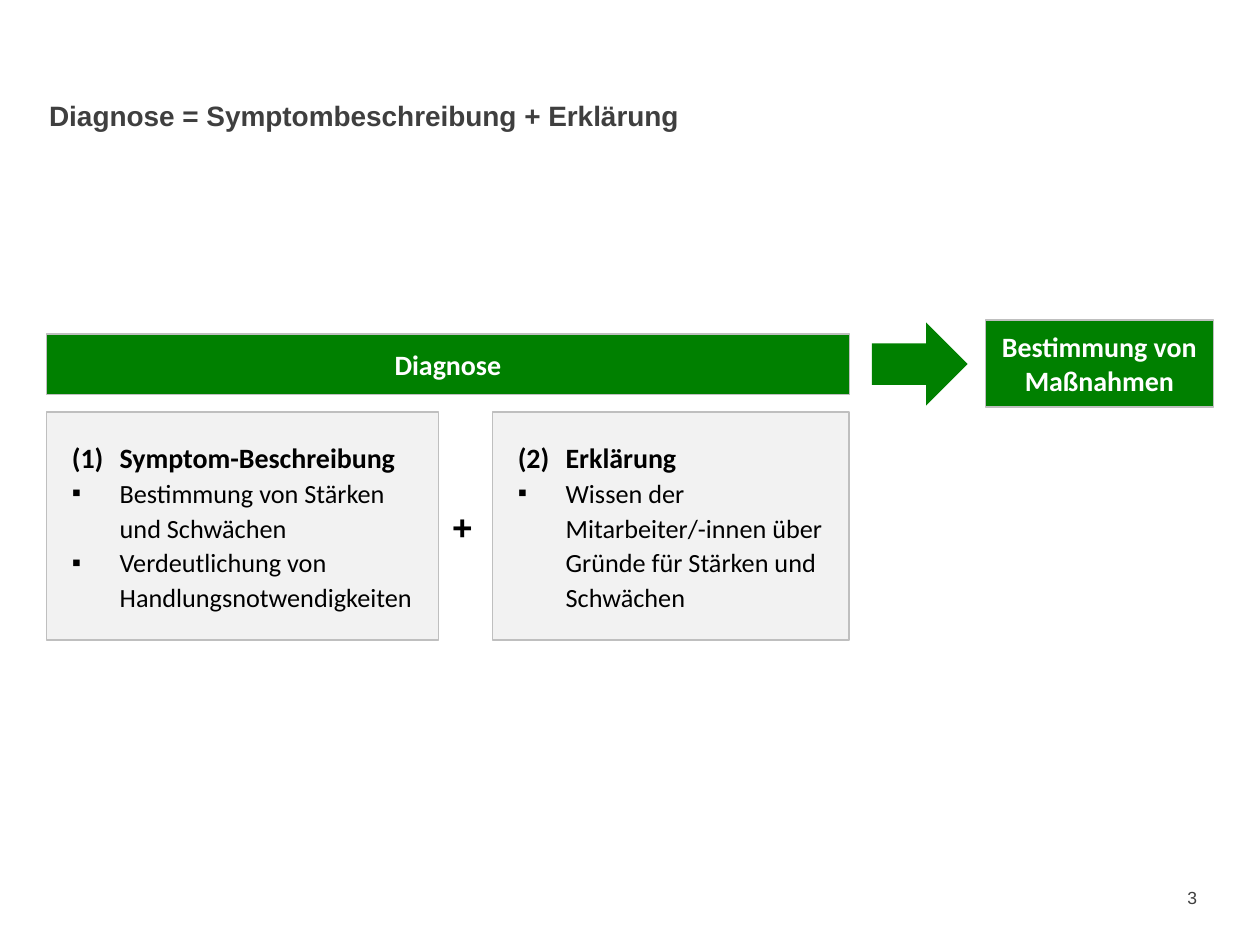
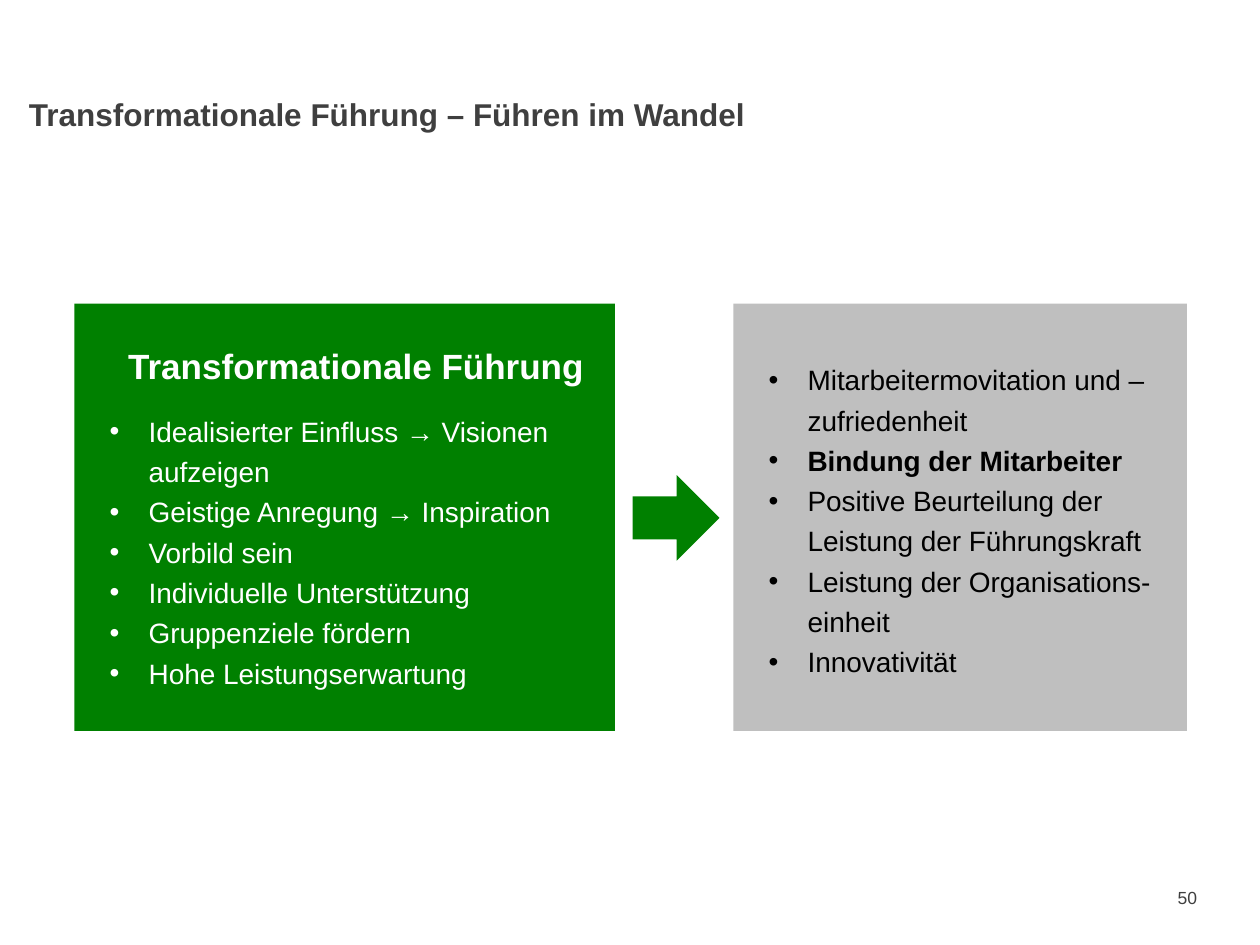
from lxml import etree
from pptx import Presentation
from pptx.dml.color import RGBColor
from pptx.enum import shapes, text
from pptx.oxml import ns
from pptx.util import Inches, Pt

GREEN = RGBColor(0x00, 0x80, 0x00)
WHITE = RGBColor(0xFF, 0xFF, 0xFF)
BLACK = RGBColor(0x00, 0x00, 0x00)
DARK_GREY = RGBColor(0x3F, 0x3F, 0x3F)
MID_GREY = RGBColor(0xBF, 0xBF, 0xBF)
LIGHT_GREY = RGBColor(0xF2, 0xF2, 0xF2)

RECT = shapes.MSO_SHAPE.RECTANGLE
ARROW = shapes.MSO_SHAPE.RIGHT_ARROW
TOP, MIDDLE = text.MSO_ANCHOR.TOP, text.MSO_ANCHOR.MIDDLE
LEFT, CENTER, RIGHT = text.PP_ALIGN.LEFT, text.PP_ALIGN.CENTER, text.PP_ALIGN.RIGHT


def write(box, words, size=16, color=BLACK, font="Arial", bold=False, align=LEFT,
          line=1.0, before=0, after=0, indent=0, bullet=None, number=None):
    """Append one formatted paragraph, with a bullet or a number if one is given."""
    frame = box.text_frame
    para = frame.add_paragraph() if frame.text else frame.paragraphs[0]
    para.alignment, para.line_spacing = align, line
    para.space_before, para.space_after = Pt(before), Pt(after)
    span = para.add_run()
    span.text = words
    span.font.name, span.font.size, span.font.bold = font, Pt(size), bold
    span.font.color.rgb = color
    if bullet or number:
        props = para._p.get_or_add_pPr()
        props.set("marL", str(Inches(indent)))
        props.set("indent", str(-Inches(indent)))
        if bullet:
            etree.SubElement(props, ns.qn("a:buFont"), typeface="Arial")
            etree.SubElement(props, ns.qn("a:buChar"), char=bullet)
        else:
            etree.SubElement(props, ns.qn("a:buFont"), typeface="+mj-lt")
            etree.SubElement(props, ns.qn("a:buAutoNum"), type="arabicParenBoth",
                             startAt=str(number))


def place(box, at=None, insets=(0.1, 0.05, 0.1, 0.05), anchor=MIDDLE, fill=None, line=None):
    """Set position, insets and anchor; style fill and outline where fill is given."""
    if at:
        box.left, box.top, box.width, box.height = map(Inches, at)
    frame = box.text_frame
    frame.word_wrap, frame.auto_size = True, text.MSO_AUTO_SIZE.NONE
    frame.vertical_anchor = anchor
    (frame.margin_left, frame.margin_top,
     frame.margin_right, frame.margin_bottom) = map(Inches, insets)
    if fill is not None:
        box.shadow.inherit = False
        box.fill.solid()
        box.fill.fore_color.rgb = fill
        if line is None:
            box.line.fill.background()
        else:
            box.line.color.rgb = line
            box.line.width = Pt(0.75)
    return box


deck = Presentation()
deck.slide_width, deck.slide_height = Inches(10), Inches(7.5)

# Title and page number of every slide
pages = []
for heading, size, title_at, number in [
    ("Diagnose = Symptombeschreibung + Erklärung", 16, (0.28, 0.73, 9, 0.66), "3"),
    ("Transformationale Führung – Führen im Wandel", 18, (0.12, 0.7, 9.29, 0.92), "50"),
]:
    page = deck.slides.add_slide(deck.slide_layouts[5])
    title = place(page.shapes.title, title_at, (0.11, 0.05, 0.11, 0.05), TOP)
    write(title, heading, size=size, color=DARK_GREY, bold=True)
    footer_at = (8.92, 6.95, 0.58, 0.4)
    footer = place(page.shapes.add_textbox(*map(Inches, footer_at)), insets=(0, 0, 0, 0.05))
    write(footer, number, size=10, color=DARK_GREY, align=RIGHT)
    pages.append(page)
diagnosis, leadership = pages

# Slide 1: diagnosis leads to measures
for label, at in [
    ("Diagnose", (0.37, 2.65, 6.37, 0.48)),
    ("Bestimmung von Maßnahmen", (7.82, 2.54, 1.81, 0.69)),
]:
    band = diagnosis.shapes.add_shape(RECT, *map(Inches, at))
    place(band, fill=GREEN, line=MID_GREY)
    write(band, label, font="Calibri", color=WHITE, bold=True, align=CENTER)

parts = [
    (0.37, 3.11, "Symptom-Beschreibung",
     ["Bestimmung von Stärken und Schwächen", "Verdeutlichung von Handlungsnotwendigkeiten"]),
    (3.91, 2.83, "Erklärung",
     ["Wissen der Mitarbeiter/-innen über Gründe für Stärken und Schwächen"]),
]
for number, (left, width, heading, points) in enumerate(parts, 1):
    card = diagnosis.shapes.add_shape(RECT, *map(Inches, (left, 3.27, width, 1.81)))
    place(card, insets=(0.2, 0.2, 0.16, 0.1), anchor=TOP, fill=LIGHT_GREY, line=MID_GREY)
    write(card, heading, font="Calibri", bold=True, line=1.1, before=5.8,
          indent=0.38, number=number)
    for point in points:
        write(card, point, size=15, font="Calibri", line=1.1, indent=0.38, bullet="▪")

plus = place(diagnosis.shapes.add_textbox(*map(Inches, (3.49, 3.96, 0.37, 0.43))), anchor=TOP)
write(plus, "+", size=20, bold=True)

# Slide 2: leadership behaviour leads to effects
behaviour = leadership.shapes.add_shape(RECT, *map(Inches, (0.59, 2.41, 4.29, 3.39)))
place(behaviour, insets=(0.28, 0.05, 0.1, 0.05), fill=GREEN)
write(behaviour, "Transformationale Führung", size=20, color=WHITE, bold=True,
      align=CENTER, after=12)
for point in [
    "Idealisierter Einfluss → Visionen aufzeigen",
    "Geistige Anregung → Inspiration",
    "Vorbild sein",
    "Individuelle Unterstützung",
    "Gruppenziele fördern",
    "Hohe Leistungserwartung",
]:
    write(behaviour, point, color=WHITE, line=1.2, indent=0.31, bullet="•")

effects = leadership.shapes.add_shape(RECT, *map(Inches, (5.82, 2.41, 3.6, 3.39)))
place(effects, insets=(0.28, 0.05, 0.12, 0.05), fill=MID_GREY)
for point, bold in [
    ("Mitarbeitermovitation und –zufriedenheit", False),
    ("Bindung der Mitarbeiter", True),
    ("Positive Beurteilung der Leistung der Führungskraft", False),
    ("Leistung der Organisations-einheit", False),
    ("Innovativität", False),
]:
    write(effects, point, bold=bold, line=1.2, indent=0.31, bullet="•")

# Arrow on each slide
for page, at in [(diagnosis, (6.92, 2.56, 0.76, 0.66)), (leadership, (5.02, 3.77, 0.69, 0.68))]:
    place(page.shapes.add_shape(ARROW, *map(Inches, at)), fill=GREEN)

deck.save("out.pptx")
